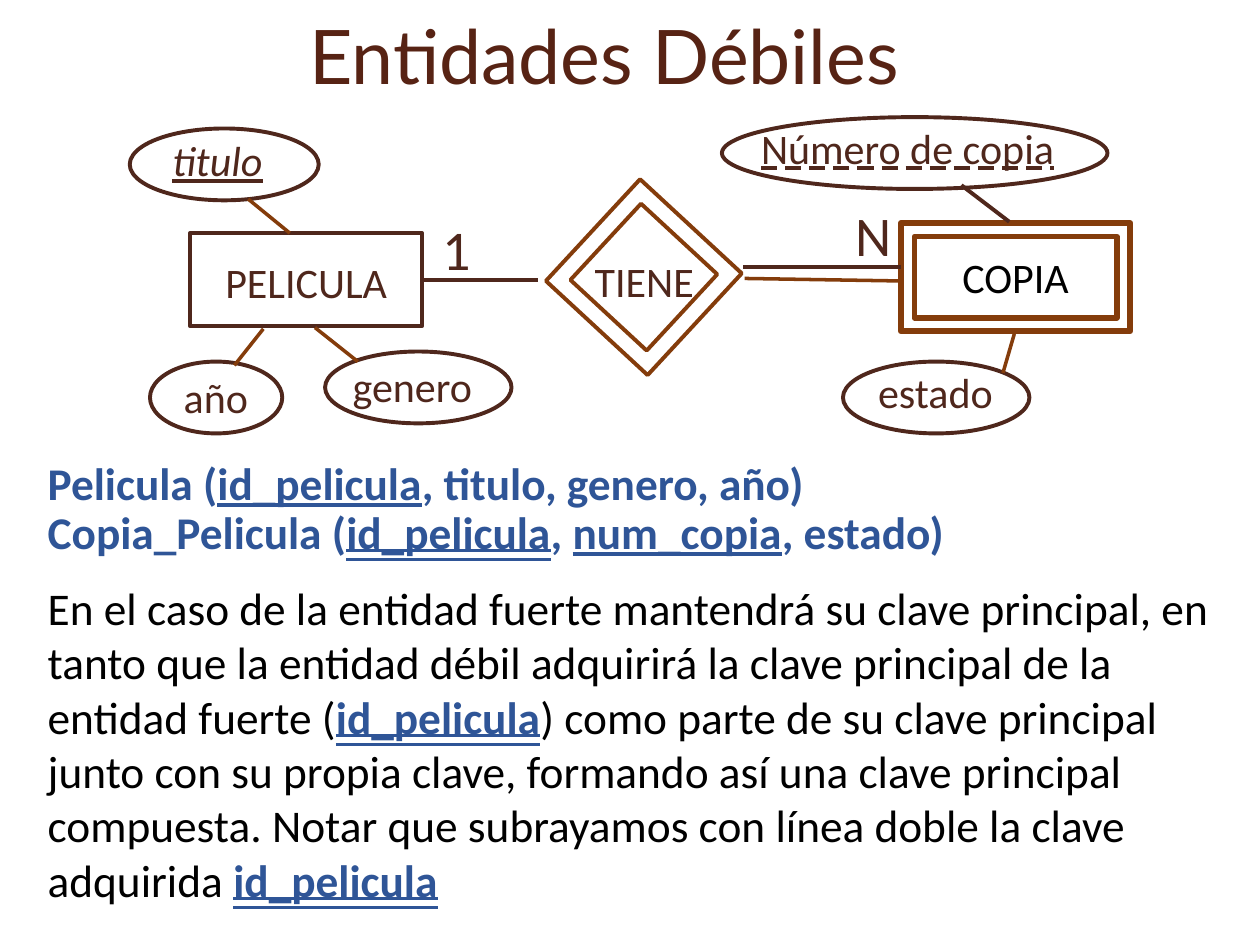
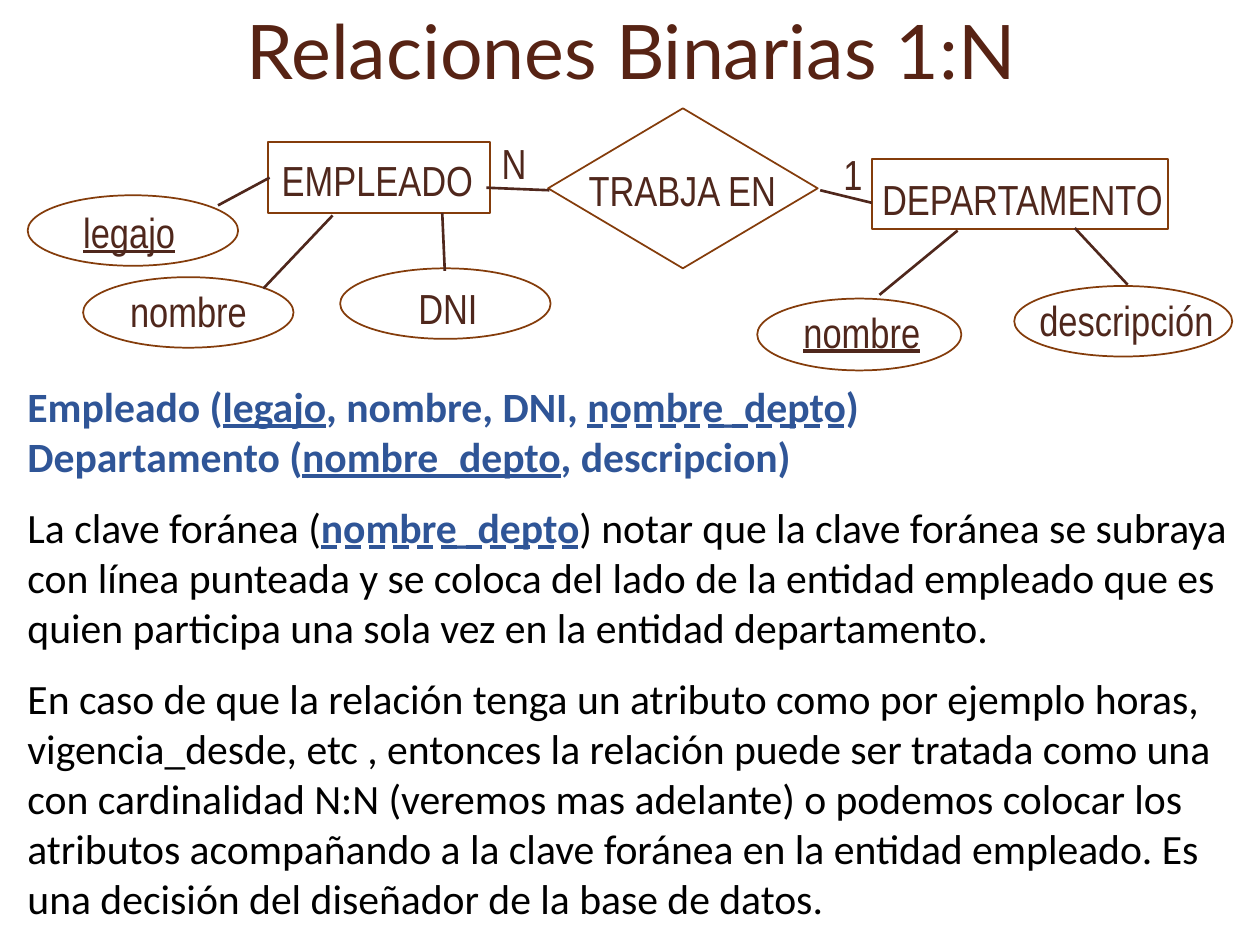
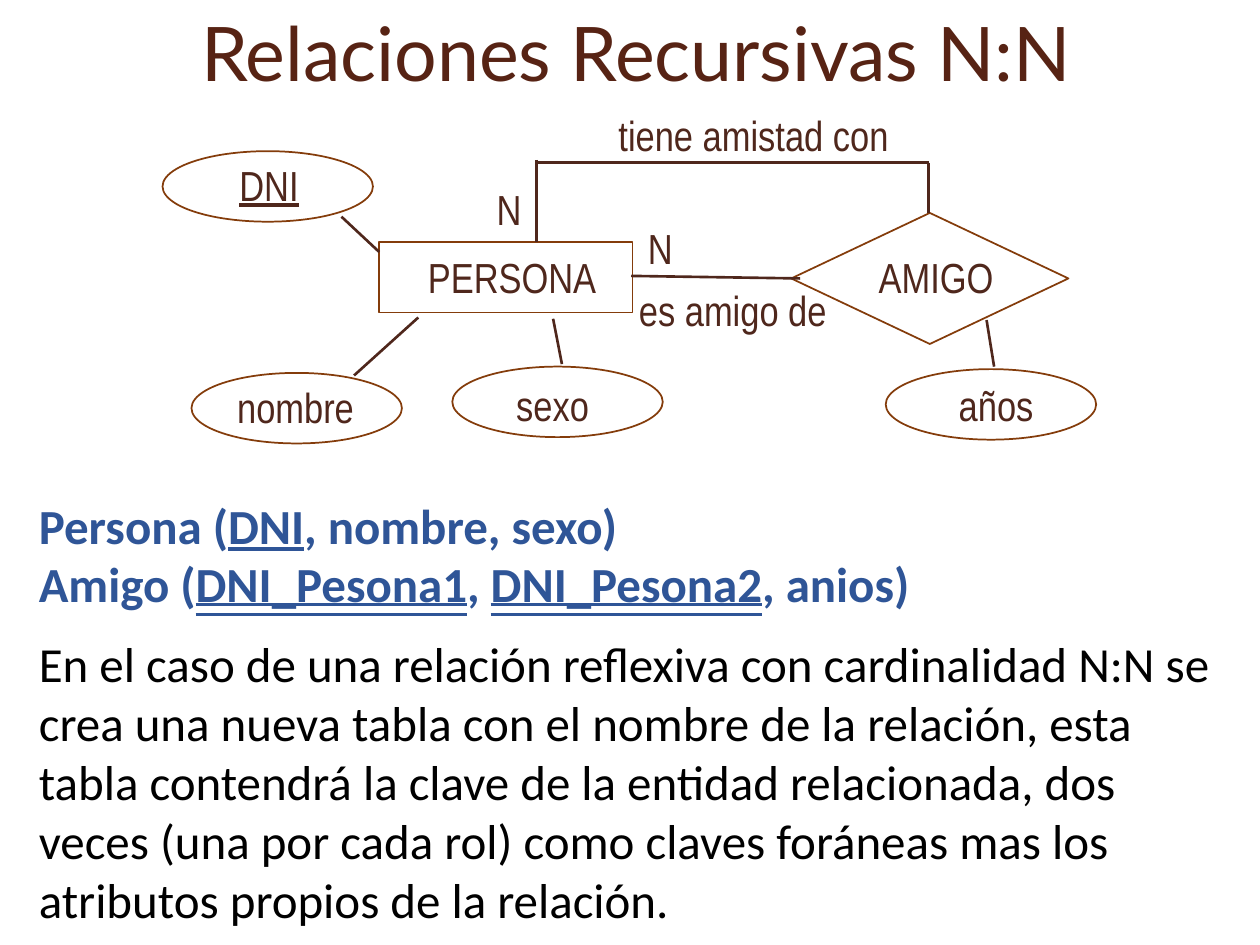
from dataclasses import dataclass

from lxml import etree
from pptx import Presentation
from pptx import util as u
from pptx.dml.color import RGBColor
from pptx.enum import shapes, text
from pptx.oxml.ns import qn


@dataclass(frozen=True)
class Theme:
    title_color: RGBColor = RGBColor.from_string("572314")
    ink: RGBColor = RGBColor.from_string("4F271C")
    rust: RGBColor = RGBColor.from_string("843C0B")
    blue: RGBColor = RGBColor.from_string("2F5597")
    black: RGBColor = RGBColor.from_string("000000")
    title_font: str = "Lato"
    body_font: str = "Calibri"
    narrow_font: str = "Arial Narrow"
    title_size: float = 43
    label_size: float = 24
    cardinality_size: float = 32


theme = Theme()
presentation = Presentation()
presentation.slide_width = u.Inches(10)
presentation.slide_height = u.Inches(7.5)
cell = presentation.slide_width // 100

underlines = {
    "-": text.MSO_UNDERLINE.SINGLE_LINE,
    "/": text.MSO_UNDERLINE.SINGLE_LINE,
    "=": text.MSO_UNDERLINE.DOUBLE_LINE,
    "~": text.MSO_UNDERLINE.DASH_LINE,
}
left, center = text.PP_ALIGN.LEFT, text.PP_ALIGN.CENTER
top, middle = text.MSO_ANCHOR.TOP, text.MSO_ANCHOR.MIDDLE
oval = shapes.MSO_SHAPE.OVAL
box = shapes.MSO_SHAPE.RECTANGLE
diamond = shapes.MSO_SHAPE.DIAMOND
frame = shapes.MSO_SHAPE.FRAME


def grid(*cells):
    return [round(count * cell) for count in cells]


def write(shape, content, size, font, color, align=left, anchor=top,
          margins=(1, 0.5, 1, 0.5), key_color=None):
    text_frame = shape.text_frame
    text_frame.word_wrap = True
    text_frame.vertical_anchor = anchor
    (text_frame.margin_left, text_frame.margin_top,
     text_frame.margin_right, text_frame.margin_bottom) = grid(*margins)
    for index, line in enumerate(content):
        paragraph = text_frame.add_paragraph() if index else text_frame.paragraphs[0]
        paragraph.alignment = align
        paragraph.font.size = u.Pt(size)
        paragraph.font.name = font
        paragraph.font.color.rgb = color
        for part_index, part in enumerate(line.split("|")):
            if not part:
                continue
            run = paragraph.add_run()
            run.text = part
            if part_index % 2:
                run.text = part[1:]
                run.font.underline = underlines[part[0]]
                if part[0] == "/":
                    run.font.italic = True
                if key_color:
                    run.font.bold = True
                    run.font.color.rgb = key_color
    return text_frame.paragraphs


tight = (0.8, 0.1, 0, 0.1)
flush = (0, 0.5, 0, 0.1)
padded = (1, 0.5, 1, 0.5)
attribute = (16.7, 5.6)

weak_entities = {
    "title": ("Entidades Débiles", (0.8, -0.4, 94.3, 9.4)),
    "outlines": [
        (oval, (10.3, 10.2, 15, 5.7), theme.ink, 2.25, 0),
        (oval, (57.3, 9.3, 30.6, 5.7), theme.ink, 2.25, 0),
        (oval, (11.9, 28.7, 10.5, 5.7), theme.ink, 2.25, 0),
        (oval, (25.8, 27.9, 14.8, 5.7), theme.ink, 2.25, 0),
        (oval, (66.9, 28.7, 14.8, 5.7), theme.ink, 2.25, 0),
        (box, (15.1, 18.5, 18.4, 7.4), theme.ink, 2.25, 0, "PELICULA", theme.ink, flush),
        (frame, (71.5, 17.7, 18.2, 8.6), theme.rust, 3.25, 0, "COPIA", theme.black, padded),
        (frame, (45.6, 16.5, 11, 11), theme.rust, 2.25, 42.8),
    ],
    "lines": [
        ((76.3, 14.7, 80.1, 17.6), theme.ink, 2.25),
        ((71.5, 21.2, 59, 21.2), theme.ink, 2.25),
        ((33.5, 22.2, 42.7, 22.2), theme.ink, 2.25),
        ((59.1, 22.1, 71.5, 22.3), theme.rust, 2),
        ((19.7, 15.8, 23, 18.5), theme.rust, 2),
        ((25, 26, 28.4, 28.7), theme.rust, 2),
        ((80.5, 26.5, 79.6, 29.6), theme.rust, 2),
        ((20.9, 26.1, 18.6, 29), theme.rust, 2),
    ],
    "label_font": theme.body_font,
    "labels": [
        ("|/titulo|", (12.7, 10.2, 10.6, 5), theme.label_size, left, padded),
        ("|~Número de copia|", (59.6, 9.6, 24.8, 6.3), theme.label_size, left, tight),
        ("TIENE", (46.4, 20.2, 9, 3.5), theme.label_size, left, tight),
        ("estado", (68.7, 28.6, 13.1, 5), theme.label_size, left, padded),
        ("genero", (27, 28.1, 13.1, 5), theme.label_size, left, padded),
        ("año", (13.6, 29, 8.1, 5), theme.label_size, left, padded),
        ("N", (67.9, 15.4, 3.7, 5.2), theme.cardinality_size, left, flush),
        ("1", (35.1, 16.5, 2.8, 5.3), theme.cardinality_size, left, flush),
    ],
    "body": ((2.8, 36.1, 94.5, 36.9), 25.9, 0.9),
    "schema": [
        "Pelicula (|-id_pelicula|, titulo, genero, año)",
        "Copia_Pelicula (|=id_pelicula|, |-num_copia|, estado)",
    ],
    "notes": [
        "En el caso de la entidad fuerte mantendrá su clave principal, en tanto que la "
        "entidad débil adquirirá la clave principal de la entidad fuerte (|=id_pelicula|) "
        "como parte de su clave principal junto con su propia clave, formando así una "
        "clave principal compuesta. Notar que subrayamos con línea doble la clave "
        "adquirida |=id_pelicula|",
    ],
}

binary_relations = {
    "title": ("Relaciones Binarias 1:N", (2.4, -0.9, 95.4, 9.7)),
    "outlines": [
        (kind, area, theme.rust, 1, 0) for kind, area in [
            (box, (21.3, 11.3, 17.6, 5.6)),
            (box, (69.2, 12.6, 23.5, 5.6)),
            (diamond, (43.5, 8.6, 21.4, 12.7)),
            (oval, (2.2, 15.5, *attribute)),
            (oval, (6.6, 22, *attribute)),
            (oval, (27, 21.3, *attribute)),
            (oval, (60.1, 23.7, 16.2, 5.7)),
            (oval, (80.5, 22.7, 17.3, 5.6)),
        ]
    ],
    "lines": [
        (ends, theme.ink, 1.5) for ends in [
            (21.4, 14.1, 17.3, 16.3),
            (26.4, 17.1, 20.9, 22.9),
            (35.1, 16.9, 35.3, 21.5),
            (43.6, 15.1, 38.6, 14.9),
            (69.2, 16.1, 65.1, 15.1),
            (76, 18.3, 69.8, 23.4),
            (85.3, 18.1, 89.5, 22.6),
        ]
    ],
    "label_font": theme.narrow_font,
    "labels": [
        (label, (*area, 5.1), theme.label_size, center, flush) for label, area in [
            ("EMPLEADO", (21.2, 11.8, 17.5)),
            ("DEPARTAMENTO", (69.5, 13.3, 23.3)),
            ("TRABJA EN", (46.2, 12.6, 15.9)),
            ("|-legajo|", (3.3, 15.9, 13.9)),
            ("nombre", (8, 22.2, 13.9)),
            ("DNI", (28.6, 21.9, 13.9)),
            ("|-nombre|", (63.4, 23.8, 10)),
            ("descripción", (82.1, 22.9, 14.6)),
            ("N", (38.6, 10.4, 4.4)),
            ("1", (65.5, 11.3, 4.4)),
        ]
    ],
    "body": ((1.2, 29.7, 97.7, 44.2), 23.8, 1),
    "schema": [
        "Empleado (|-legajo|, nombre, DNI, |~nombre_depto|)",
        "Departamento (|-nombre_depto|, descripcion)",
    ],
    "notes": [
        "La clave foránea (|~nombre_depto|) notar que la clave foránea se subraya con "
        "línea punteada y se coloca del lado de la entidad empleado que es quien "
        "participa una sola vez en la entidad departamento.",
        "En caso de que la relación tenga un atributo como por ejemplo horas, "
        "vigencia_desde, etc , entonces la relación puede ser tratada como una con "
        "cardinalidad N:N (veremos mas adelante) o podemos colocar los atributos "
        "acompañando a la clave foránea en la entidad empleado. Es una decisión del "
        "diseñador de la base de datos.",
    ],
}

recursive_relations = {
    "title": ("Relaciones Recursivas N:N", (2.8, -0.8, 95.4, 9.7)),
    "outlines": [
        (kind, area, theme.rust, 1, 0) for kind, area in [
            (box, (30.1, 19.2, 20.1, 5.6)),
            (diamond, (62.8, 16.9, 22, 10.4)),
            (oval, (12.9, 12, *attribute)),
            (oval, (15.2, 29.6, *attribute)),
            (oval, (35.9, 29.1, *attribute)),
            (oval, (70.3, 29.3, *attribute)),
        ]
    ],
    "lines": [
        (ends, theme.ink, 1.5) for ends in [
            (30.1, 20, 27.1, 17.2),
            (33.2, 25.2, 28.1, 29.8),
            (43.9, 25.3, 44.6, 28.9),
            (78.3, 25.4, 78.9, 29.1),
            (63.5, 22.1, 50.1, 21.9),
            (42.6, 12.7, 42.6, 19.2),
            (73.7, 12.9, 42.6, 12.9),
            (73.7, 12.9, 73.7, 16.9),
        ]
    ],
    "label_font": theme.narrow_font,
    "labels": [
        (label, (*area, 5.1), theme.label_size, center, flush) for label, area in [
            ("PERSONA", (30.6, 19.5, 20.1)),
            ("AMIGO", (66.3, 19.5, 16)),
            ("|-DNI|", (14.4, 12.2, 13.9)),
            ("nombre", (16.5, 29.8, 13.9)),
            ("sexo", (36.9, 29.6, 13.9)),
            ("años", (72.1, 29.6, 13.9)),
            ("es amigo de", (49.9, 22.1, 16.5)),
            ("tiene amistad con", (47.8, 8.2, 24)),
            ("N", (38.2, 14.1, 4.4)),
            ("N", (50.2, 17.2, 4.4)),
        ]
    ],
    "body": ((2.1, 38.8, 96.8, 35.1), 28, 1),
    "schema": [
        "Persona (|-DNI|, nombre, sexo)",
        "Amigo (|=DNI_Pesona1|, |=DNI_Pesona2|, anios)",
    ],
    "notes": [
        "En el caso de una relación reflexiva con cardinalidad N:N se crea una nueva "
        "tabla con el nombre de la relación, esta tabla contendrá la clave de la entidad "
        "relacionada, dos veces (una por cada rol) como claves foráneas mas los atributos "
        "propios de la relación.",
    ],
}

for topic in (weak_entities, binary_relations, recursive_relations):
    slide = presentation.slides.add_slide(presentation.slide_layouts[6])

    title, area = topic["title"]
    write(slide.shapes.add_textbox(*grid(*area)), [title], theme.title_size,
          theme.title_font, theme.title_color, center, middle)

    for kind, area, color, weight, rotation, *caption in topic["outlines"]:
        shape = slide.shapes.add_shape(kind, *grid(*area))
        shape.shadow.inherit = False
        shape.fill.background()
        shape.line.color.rgb = color
        shape.line.width = u.Pt(weight)
        shape.rotation = rotation
        if caption:
            name, name_color, margins = caption
            write(shape, [name], theme.label_size, theme.body_font, name_color,
                  center, middle, margins)

    for ends, color, weight in topic["lines"]:
        connector = slide.shapes.add_connector(shapes.MSO_CONNECTOR.STRAIGHT, *grid(*ends))
        connector.line.color.rgb = color
        connector.line.width = u.Pt(weight)
        etree.SubElement(connector._element.spPr, qn("a:effectLst"))

    for label, area, size, align, margins in topic["labels"]:
        write(slide.shapes.add_textbox(*grid(*area)), [label], size,
              topic["label_font"], theme.ink, align, top, margins)

    area, size, schema_spacing = topic["body"]
    paragraphs = write(slide.shapes.add_textbox(*grid(*area)),
                       topic["schema"] + topic["notes"], size,
                       theme.body_font, theme.black, key_color=theme.blue)
    schema_count = len(topic["schema"])
    for paragraph in paragraphs[:schema_count]:
        paragraph.font.bold = True
        paragraph.font.color.rgb = theme.blue
        paragraph.line_spacing = schema_spacing
    for paragraph in paragraphs[schema_count:]:
        paragraph.space_before = u.Pt(12)

presentation.save("out.pptx")
